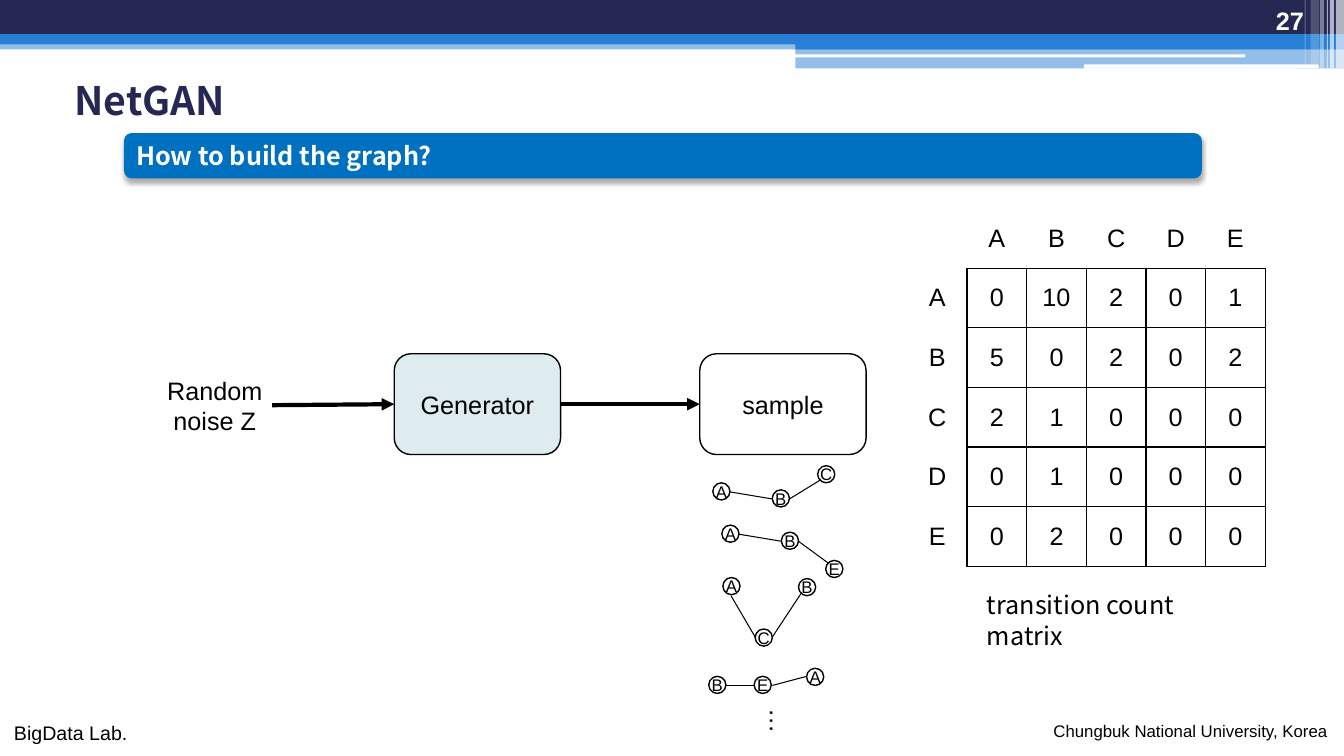
from lxml.etree import SubElement
from pptx import Presentation
from pptx.dml.color import RGBColor
from pptx.enum.shapes import MSO_CONNECTOR, MSO_SHAPE
from pptx.enum.text import MSO_ANCHOR, PP_ALIGN
from pptx.oxml.ns import qn
from pptx.util import Inches, Pt

COLORS = {"navy": "242852", "blue": "297FD5", "bar": "0070C0",
          "pale": "DEECEF", "white": "FFFFFF", "black": "000000"}
SANS, NOTO = "Arial", "Noto Sans CJK KR"
NODE = 0.17

# Header stripes: left, top, width, height, colour, opacity, shape
RECT, ROUND = MSO_SHAPE.RECTANGLE, MSO_SHAPE.ROUNDED_RECTANGLE
STRIPES = [
    (0, 0.4, 13.33, 0.09, "blue", 50, RECT),
    (0, 0, 13.33, 0.34, "navy", 100, RECT),
    (0, 0.34, 13.33, 0.1, "blue", 100, RECT),
    (7.89, 0.39, 5.44, 0.1, "blue", 100, RECT),
    (7.89, 0.48, 5.44, 0.2, "blue", 50, RECT),
    (7.88, 0.54, 4.47, 0.03, "white", 100, ROUND),
    (10.75, 0.64, 2.33, 0.04, "white", 100, ROUND),
    (13.25, 0, 0.08, 0.68, "white", 65, RECT),
    (13.19, 0, 0.04, 0.68, "white", 65, RECT),
    (13.16, 0, 0.01, 0.68, "white", 60, RECT),
    (13.09, 0, 0.04, 0.68, "white", 40, RECT),
    (13, 0, 0.08, 0.64, "white", 20, RECT),
    (12.94, 0, 0.01, 0.64, "white", 30, RECT),
]

# Sampled walks: nodes (name, left, top), then links (x1, y1, x2, y2)
WALKS = [
    ([("A", 7.07, 4.79), ("B", 7.66, 4.86), ("C", 8.11, 4.62)],
     [(7.24, 4.88, 7.66, 4.95), (8.14, 4.76, 7.83, 4.95)]),
    ([("A", 7.16, 5.21), ("B", 7.75, 5.28), ("E", 8.19, 5.56)],
     [(7.33, 5.3, 7.75, 5.37), (8.22, 5.59, 7.92, 5.37)]),
    ([("A", 7.17, 5.73), ("C", 7.49, 6.24), ("B", 7.92, 5.74)],
     [(7.25, 5.91, 7.49, 6.32), (7.95, 5.88, 7.66, 6.32)]),
    ([("B", 7.03, 6.71), ("E", 7.48, 6.71), ("A", 8, 6.63)],
     [(7.2, 6.8, 7.48, 6.8), (8, 6.71, 7.66, 6.8)]),
]

NAMES = "ABCDE"
COUNTS = [(0, 10, 2, 0, 1), (5, 0, 2, 0, 2), (2, 1, 0, 0, 0),
          (0, 1, 0, 0, 0), (0, 2, 0, 0, 0)]


def color(name):
    return RGBColor.from_string(COLORS[name])


def write(frame, text, size, font=SANS, ink="black", bold=False,
          align=PP_ALIGN.LEFT, anchor=MSO_ANCHOR.MIDDLE, wrap=True):
    frame.text = text
    frame.word_wrap = wrap
    frame.vertical_anchor = anchor
    for para in frame.paragraphs:
        para.alignment = align
        para.font.size = Pt(size)
        para.font.name = font
        para.font.bold = bold
        para.font.color.rgb = color(ink)


def label(slide, box, text, size, **style):
    shape = slide.shapes.add_textbox(*map(Inches, box))
    write(shape.text_frame, text, size, **style)
    return shape


def block(slide, kind, box, fill=None, line=None, alpha=100):
    shape = slide.shapes.add_shape(kind, *map(Inches, box))
    shape.shadow.inherit = False
    if fill:
        shape.fill.solid()
        shape.fill.fore_color.rgb = color(fill)
        if alpha < 100:
            tint = shape.fill._xPr.find(".//" + qn("a:srgbClr"))
            SubElement(tint, qn("a:alpha"), val=str(alpha * 1000))
    else:
        shape.fill.background()
    if line:
        shape.line.color.rgb = color(line)
        shape.line.width = Pt(1)
    else:
        shape.line.fill.background()
    return shape


def link(slide, ends, width, arrow=False):
    line = slide.shapes.add_connector(MSO_CONNECTOR.STRAIGHT, *map(Inches, ends))
    line.line.color.rgb = color("black")
    line.line.width = Pt(width)
    if arrow:
        SubElement(line.line._get_or_add_ln(), qn("a:tailEnd"), type="triangle")
    SubElement(line._element.spPr, qn("a:effectLst"))


def shade(shape):
    effects = shape._element.spPr.find(qn("a:effectLst"))
    outer = SubElement(effects, qn("a:outerShdw"), blurRad=str(Pt(3.5)),
                       dist=str(Pt(2.2)), dir="5400000", rotWithShape="0")
    tint = SubElement(outer, qn("a:srgbClr"), val=COLORS["black"])
    SubElement(tint, qn("a:alpha"), val="32000")


def border(cell):
    props = cell._tc.get_or_add_tcPr()
    for at, side in enumerate(("a:lnL", "a:lnR", "a:lnT", "a:lnB")):
        edge = props.makeelement(qn(side), {"w": str(Pt(1))})
        fill = SubElement(edge, qn("a:solidFill"))
        SubElement(fill, qn("a:srgbClr"), val=COLORS["black"])
        props.insert(at, edge)


def matrix(slide, left, top, side):
    rows = [("", *NAMES)] + [(n, *c) for n, c in zip(NAMES, COUNTS)]
    size = len(rows)
    table = slide.shapes.add_table(size, size, *map(Inches, (left, top, side, side))).table
    table.first_row = table.horz_banding = False
    for r, row in enumerate(rows):
        for c, value in enumerate(row):
            cell = table.cell(r, c)
            cell.fill.background()
            write(cell.text_frame, str(value), 18, align=PP_ALIGN.CENTER)
            cell.vertical_anchor = MSO_ANCHOR.MIDDLE
            if r and c:
                border(cell)


def node(slide, name, left, top):
    shape = block(slide, MSO_SHAPE.OVAL, (left, top, NODE, NODE), line="black")
    frame = shape.text_frame
    frame.margin_left = frame.margin_right = 0
    frame.margin_top = frame.margin_bottom = 0
    write(frame, name, 12, align=PP_ALIGN.CENTER, wrap=False)


def main():
    deck = Presentation()
    deck.slide_width, deck.slide_height = Inches(13.33), Inches(7.5)
    slide = deck.slides.add_slide(deck.slide_layouts[6])
    top = MSO_ANCHOR.TOP

    # Header and footer
    for *box, fill, alpha, kind in STRIPES:
        block(slide, kind, box, fill, alpha=alpha)
    label(slide, (11.92, 0, 1.11, 0.4), "27", 18, ink="white", bold=True,
          align=PP_ALIGN.RIGHT, anchor=MSO_ANCHOR.BOTTOM)
    label(slide, (0.04, 7.1, 1.33, 0.34), "BigData Lab.", 14, anchor=top, wrap=False)
    label(slide, (10.35, 7.1, 2.94, 0.3), "Chungbuk National University, Korea", 12,
          anchor=top, wrap=False)

    # Title and question
    title = label(slide, (0.52, 0.15, 12.05, 1.17), "NetGAN", 28, font=NOTO,
                  ink="navy", bold=True).text_frame
    title.margin_left = Inches(0.22)
    title.paragraphs[0].line_spacing = 2.1
    bar = block(slide, ROUND, (1.23, 1.32, 10.69, 0.45), "bar")
    shade(bar)
    write(bar.text_frame, "How to build the graph?", 18, font=NOTO, ink="white", bold=True)

    # Noise to generator to sample
    label(slide, (1.55, 3.67, 1.16, 0.71), "Random\nnoise Z", 18,
          align=PP_ALIGN.CENTER, anchor=top, wrap=False)
    for left, text, fill in ((3.91, "Generator", "pale"), (6.94, "sample", None)):
        step = block(slide, ROUND, (left, 3.51, 1.65, 1), fill, "black")
        write(step.text_frame, text, 18, align=PP_ALIGN.CENTER)
    link(slide, (2.7, 4.02, 3.91, 4.01), 3, arrow=True)
    link(slide, (5.56, 4.01, 6.94, 4.01), 3, arrow=True)

    # Sampled walks
    for nodes, links in WALKS:
        for spot in nodes:
            node(slide, *spot)
        for ends in links:
            link(slide, ends, 0.75)
    dots = label(slide, (7.51, 6.96, 0.45, 0.4), "…", 18, anchor=top, wrap=False)
    dots.rotation = 90

    # Transition counts
    matrix(slide, 9, 2.07, 3.55)
    label(slide, (9.69, 5.8, 2.86, 0.4), "transition count matrix", 18, font=NOTO, anchor=top)

    deck.save("out.pptx")


if __name__ == "__main__":
    main()
